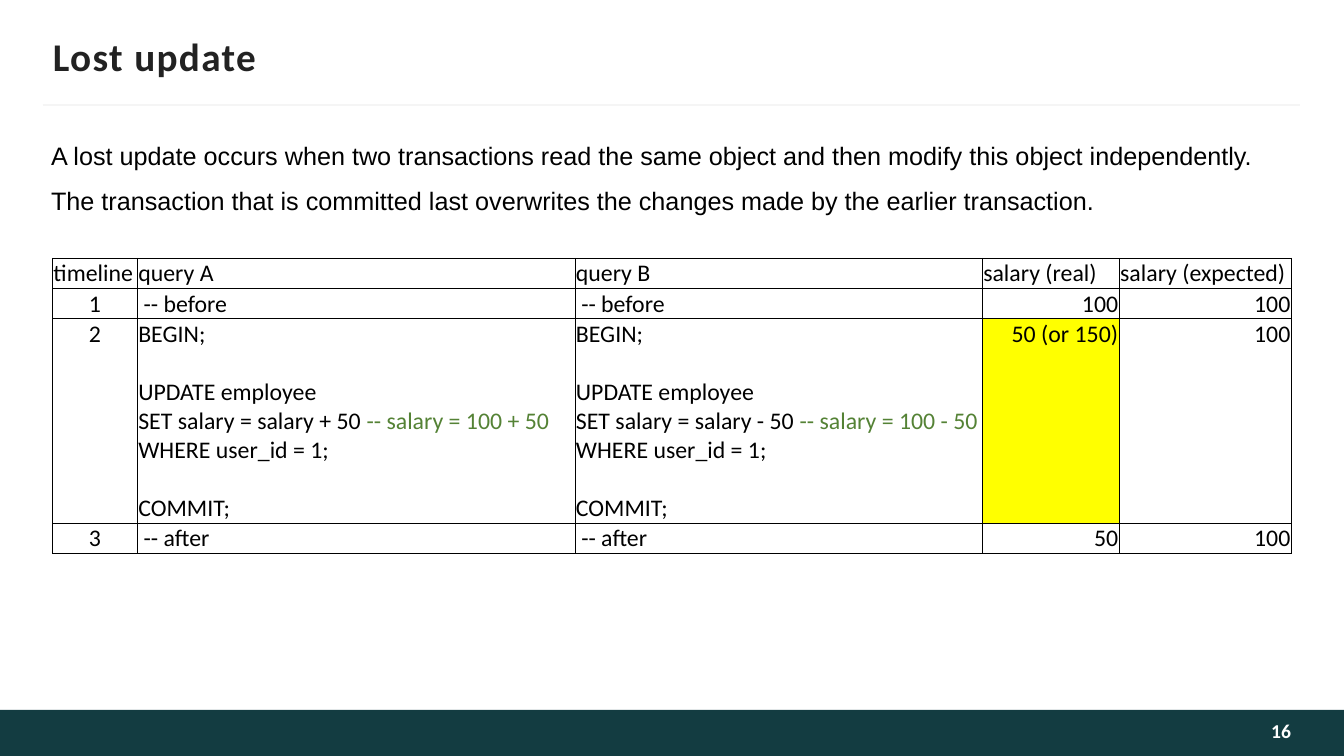
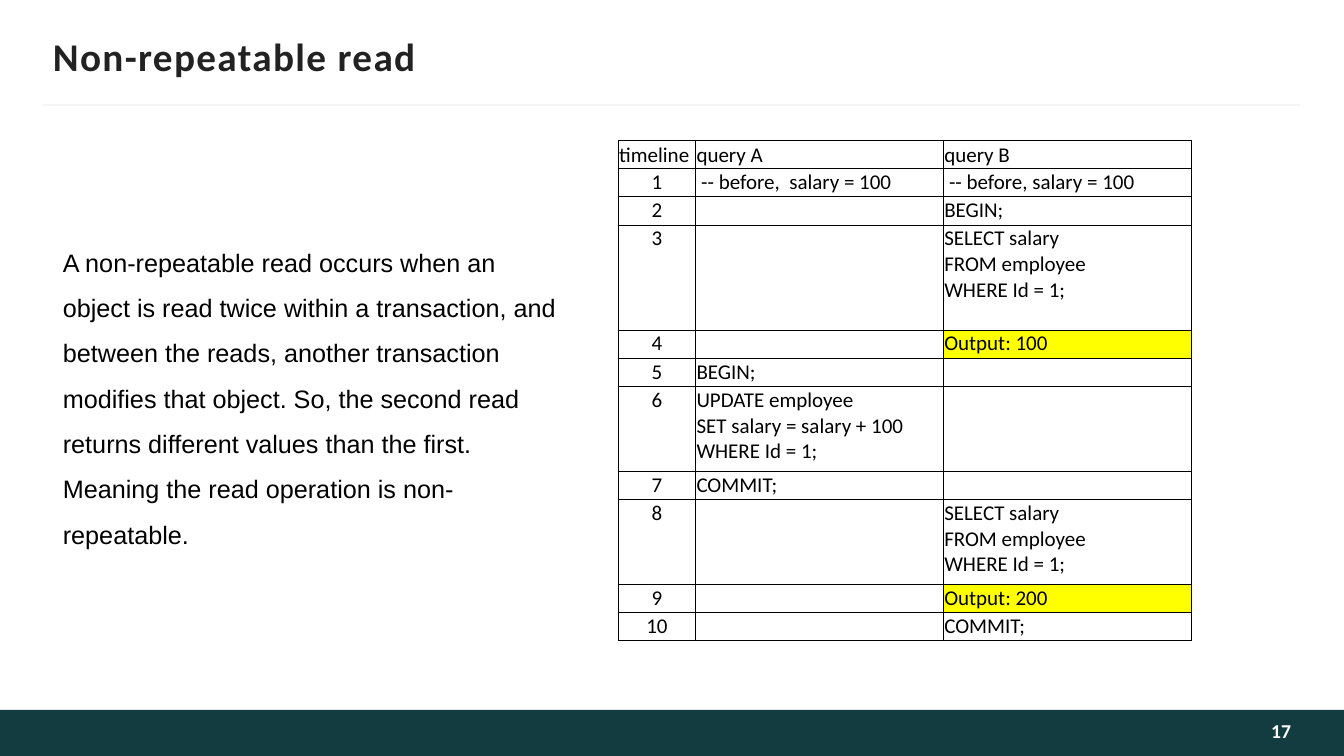
from dataclasses import dataclass

from lxml import etree
from pptx import Presentation
from pptx import util as u
from pptx.dml.color import RGBColor
from pptx.enum import shapes, text
from pptx.oxml import ns

# Theme
COLORS = {
    "band": "133C41", "rule": "F5F5F5", "title": "222222", "number": "FEFEFE",
    "text": "000000", "comment": "548235", "mark": "FFFF00",
}
HEAD, BODY = "Calibri", "Arial"
ALIGN = {"l": text.PP_ALIGN.LEFT, "c": text.PP_ALIGN.CENTER, "r": text.PP_ALIGN.RIGHT}
LINE_HEIGHT = 1.22  # one Calibri line, as a multiple of its size

# The slide is a grid of 160 columns by 90 rows of square units
WIDTH, HEIGHT = u.Inches(40 / 3), u.Inches(7.5)
COLS, ROWS = 160, 90
BAND_TOP = 84.5


@dataclass(frozen=True)
class Box:
    x: float
    y: float
    w: float
    h: float

    def emu(self) -> tuple:
        return gx(self.x), gy(self.y), gx(self.w), gy(self.h)


@dataclass(frozen=True)
class Style:
    size: float
    font: str = HEAD
    color: str = "text"
    bold: bool = False
    spacing: int = 0  # hundredths of a point


@dataclass(frozen=True)
class Schedule:
    """Table of queries; in a cell, '|' starts a coloured comment."""
    x: float
    y: float
    size: float
    cols: tuple
    heights: tuple
    aligns: str
    rows: tuple
    marked: frozenset


@dataclass(frozen=True)
class Page:
    title: str
    number: str
    intro: str
    intro_box: Box
    schedule: Schedule


TITLE = Style(28, color="title", bold=True, spacing=100)
NUMBER = Style(14, color="number", bold=True)
INTRO = Style(18, font=BODY)


def gx(n: float) -> int:
    return round(n * WIDTH / COLS)


def gy(n: float) -> int:
    return round(n * HEIGHT / ROWS)


def rgb(name: str) -> RGBColor:
    return RGBColor.from_string(COLORS[name])


def add_run(p, words: str, style: Style) -> None:
    r = p.add_run()
    r.text = words
    f = r.font
    f.size, f.name, f.bold = u.Pt(style.size), style.font, style.bold
    f.color.rgb = rgb(style.color)
    if style.spacing:
        r._r.get_or_add_rPr().set("spc", str(style.spacing))


def set_insets(frame, left: float, top: float, right: float, bottom: float) -> None:
    frame.margin_left, frame.margin_top = u.Inches(left), u.Inches(top)
    frame.margin_right, frame.margin_bottom = u.Inches(right), u.Inches(bottom)


def add_text(s, box: Box, words: str, style: Style, align: str = "l"):
    tf = s.shapes.add_textbox(*box.emu()).text_frame
    tf.word_wrap = True
    p = tf.paragraphs[0]
    p.alignment = ALIGN[align]
    add_run(p, words, style)
    return tf


# Shared parts: footer band, rule, title and page number
def add_frame(s, title: str, number: str) -> None:
    band = Box(0, BAND_TOP, COLS, ROWS - BAND_TOP)
    sp = s.shapes.add_shape(shapes.MSO_SHAPE.RECTANGLE, *band.emu())
    sp.shadow.inherit = False
    sp.fill.solid()
    sp.fill.fore_color.rgb = rgb("band")
    sp.line.fill.background()

    rule = s.shapes.add_connector(
        shapes.MSO_CONNECTOR.STRAIGHT, gx(5.1), gy(12.5), gx(154.8), gy(12.5))
    rule.line.color.rgb = rgb("rule")
    rule.line.width = u.Pt(1.5)
    etree.SubElement(rule._element.spPr, ns.qn("a:effectLst"))

    tf = add_text(s, Box(6.3, 4, 147.5, 5.3), title, TITLE)
    set_insets(tf, 0, 0.05, 0, 0.05)
    tf.vertical_anchor = text.MSO_ANCHOR.MIDDLE

    tf = add_text(s, Box(129.7, BAND_TOP, 24, ROWS - BAND_TOP), number, NUMBER, "r")
    set_insets(tf, 0.1, 0.05, 0, 0.09)
    tf.vertical_anchor = text.MSO_ANCHOR.MIDDLE


def add_borders(cell) -> None:
    props = cell._tc.get_or_add_tcPr()
    for side in ("lnL", "lnR", "lnT", "lnB"):
        ln = etree.SubElement(props, ns.qn(f"a:{side}"), w=str(u.Pt(0.5)))
        fill = etree.SubElement(ln, ns.qn("a:solidFill"))
        etree.SubElement(fill, ns.qn("a:srgbClr"), val=COLORS["text"])


def fill_cell(cell, code: str, size: float, align: str) -> None:
    """One paragraph per line; an empty line becomes space before the next."""
    tf = cell.text_frame
    p = tf.paragraphs[0]
    if not code:
        p._p.get_or_add_endParaRPr().set("sz", str(size * 100))
        return
    for b, block in enumerate(code.split("\n\n")):
        for n, line in enumerate(block.split("\n")):
            if b or n:
                p = tf.add_paragraph()
            p.alignment = ALIGN[align]
            if b and not n:
                p.space_before = u.Pt(size * LINE_HEIGHT)
            command, _, comment = line.partition("|")
            add_run(p, command, Style(size))
            if comment:
                add_run(p, comment, Style(size, color="comment"))


def add_schedule(s, t: Schedule) -> None:
    box = Box(t.x, t.y, sum(t.cols), sum(t.heights))
    table = s.shapes.add_table(len(t.rows), len(t.cols), *box.emu()).table
    table.first_row = table.horz_banding = False
    for column, w in zip(table.columns, t.cols):
        column.width = gx(w)
    for i, (row, h, codes) in enumerate(zip(table.rows, t.heights, t.rows)):
        row.height = gy(h)
        for j, code in enumerate(codes):
            cell = row.cells[j]
            set_insets(cell, 0.01, 0.01, 0.01, 0)
            cell.vertical_anchor = text.MSO_ANCHOR.TOP if i else text.MSO_ANCHOR.BOTTOM
            add_borders(cell)
            if (i, j) in t.marked:
                cell.fill.solid()
                cell.fill.fore_color.rgb = rgb("mark")
            else:
                cell.fill.background()
            fill_cell(cell, code, t.size, t.aligns[j] if i else "l")


# Content
def update_salary(sign: str) -> str:
    return ("BEGIN;\n\nUPDATE employee\n"
            f"SET salary = salary {sign} 50 |-- salary = 100 {sign} 50\n"
            "WHERE user_id = 1;\n\nCOMMIT;")


SELECT = "SELECT salary\nFROM employee\nWHERE Id = 1;"
UPDATE = "UPDATE employee\nSET salary = salary + 100\nWHERE Id = 1;"
LINE_1, LINE_2, QUERY_2 = 3.58, 3.36, 10.1

PAGES = (
    Page(
        "Lost update", "16",
        "A lost update occurs when two transactions read the same object and then "
        "modify this object independently. The transaction that is committed last "
        "overwrites the changes made by the earlier transaction.",
        Box(4.9, 14.3, 147.5, 11.5),
        Schedule(
            6.25, 30.75, 17, (10.1, 52.1, 48.5, 16.3, 20.5),
            (LINE_1, LINE_1, 24.35, LINE_1), "cllrr",
            (
                ("timeline", "query A", "query B", "salary (real)", "salary (expected)"),
                ("1", " -- before", " -- before", "100", "100"),
                ("2", update_salary("+"), update_salary("-"), "50 (or 150)", "100"),
                ("3", " -- after", " -- after", "50", "100"),
            ),
            frozenset({(2, 3)}),
        ),
    ),
    Page(
        "Non-repeatable read", "17",
        "A non-repeatable read occurs when an object is read twice within a "
        "transaction, and between the reads, another transaction modifies that "
        "object. So, the second read returns different values than the first. "
        "Meaning the read operation is non-repeatable.",
        Box(6.3, 27, 61.3, 38.8),
        Schedule(
            73.6, 16.7, 15, (9.2, 29.5, 29.5),
            (*[LINE_2] * 3, 12.5, *[LINE_2] * 2, QUERY_2, LINE_2, QUERY_2, *[LINE_2] * 2),
            "cll",
            (
                ("timeline", "query A", "query B"),
                ("1", " -- before,  salary = 100", " -- before, salary = 100"),
                ("2", "", "BEGIN;"),
                ("3", "", SELECT),
                ("4", "", "Output: 100"),
                ("5", "BEGIN;", ""),
                ("6", UPDATE, ""),
                ("7", "COMMIT;", ""),
                ("8", "", SELECT),
                ("9", "", "Output: 200"),
                ("10", "", "COMMIT;"),
            ),
            frozenset({(4, 2), (9, 2)}),
        ),
    ),
)


def main() -> None:
    prs = Presentation()
    prs.slide_width, prs.slide_height = WIDTH, HEIGHT
    for page in PAGES:
        s = prs.slides.add_slide(prs.slide_layouts[6])
        add_frame(s, page.title, page.number)
        tf = add_text(s, page.intro_box, page.intro, INTRO)
        tf.paragraphs[0].line_spacing = 1.5
        add_schedule(s, page.schedule)
    prs.save("out.pptx")


if __name__ == "__main__":
    main()
